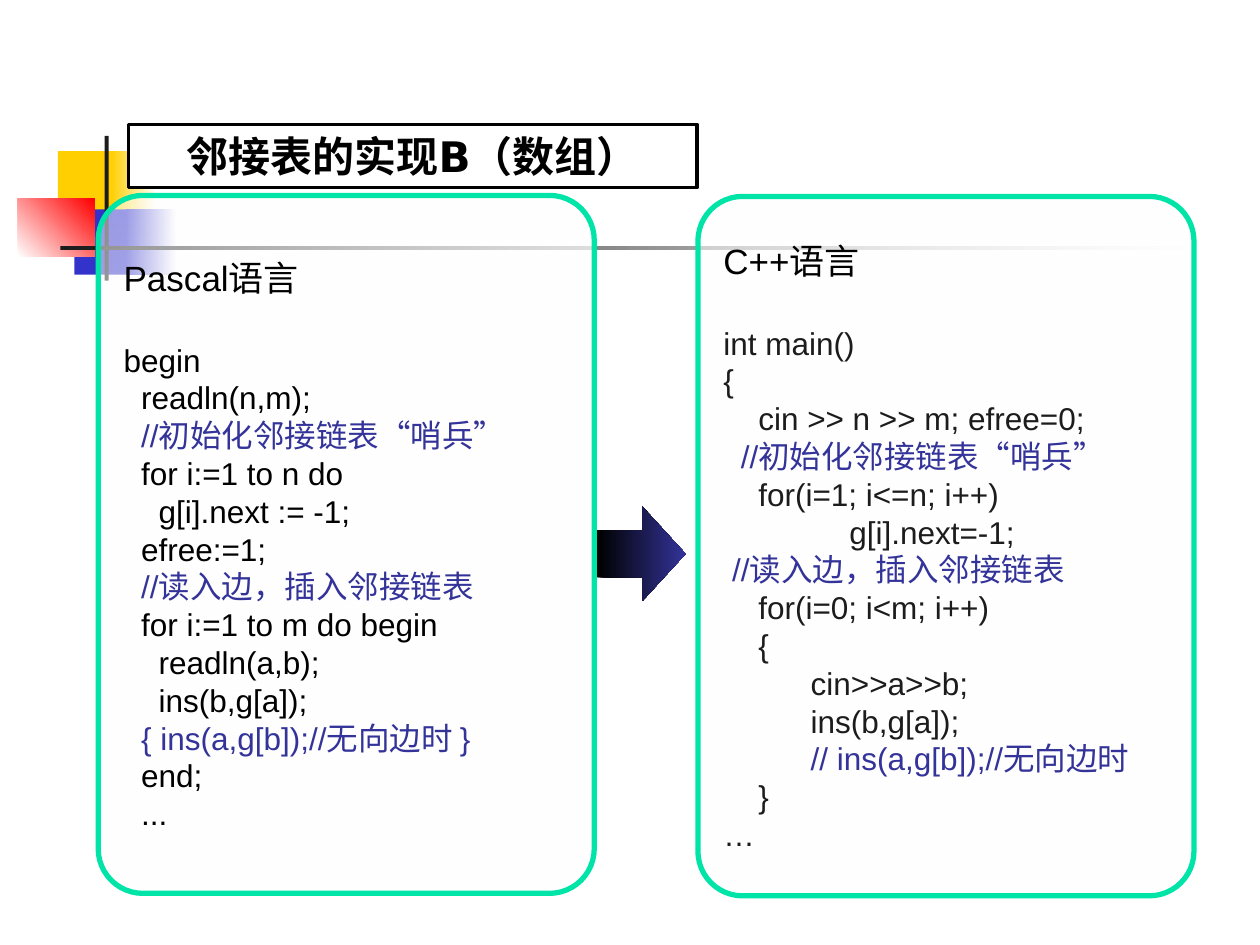
from lxml.etree import SubElement
from pptx import Presentation
from pptx.dml.color import RGBColor
from pptx.enum.shapes import MSO_SHAPE as Shape
from pptx.enum.text import MSO_ANCHOR, PP_ALIGN
from pptx.oxml.ns import qn
from pptx.util import Cm, Pt

BLACK = RGBColor(0x00, 0x00, 0x00)
WHITE = RGBColor(0xFF, 0xFF, 0xFF)
CHARCOAL = RGBColor(0x1C, 0x1C, 0x1C)
YELLOW = RGBColor(0xFF, 0xCF, 0x01)
BLUE = RGBColor(0x33, 0x33, 0xCC)
RED = RGBColor(0xFF, 0x00, 0x00)
MINT = RGBColor(0x00, 0xE4, 0xA8)
INDIGO = RGBColor(0x33, 0x33, 0x99)

TITLE = "邻接表的实现B（数组）"

PASCAL = """begin
  readln(n,m);
  //初始化邻接链表“哨兵”
  for i:=1 to n do
    g[i].next := -1;
  efree:=1;
  //读入边，插入邻接链表
  for i:=1 to m do begin
    readln(a,b);
    ins(b,g[a]);
  { ins(a,g[b]);//无向边时 }
  end;
  ..."""

CPP = """int main()
{
    cin >> n >> m; efree=0;
  //初始化邻接链表“哨兵”
    for(i=1; i<=n; i++)
\tg[i].next=-1;
 //读入边，插入邻接链表
    for(i=0; i<m; i++)
    {
          cin>>a>>b;
          ins(b,g[a]);
          // ins(a,g[b]);//无向边时
    }
…"""

# Boxes are left, top, width, height in cm
PANELS = [
    ("Pascal语言", PASCAL, BLACK, (1.98, 3.94, 10, 14.07)),
    ("C++语言", CPP, CHARCOAL, (14.07, 3.96, 10, 14.1)),
]

# Box, fill colours (two make a gradient), counter-clockwise angle
ORNAMENTS = [
    ((1.17, 3.05, 1.22, 1.32), [YELLOW], 0),
    ((2.24, 3.05, 0.91, 1.32), [YELLOW, WHITE], 0),
    ((1.5, 4.22, 1.17, 1.32), [BLUE], 0),
    ((2.54, 4.22, 1.02, 1.32), [BLUE, WHITE], 0),
    ((0.36, 4.01, 1.55, 1.17), [WHITE, RED], 45),
    ((2.11, 2.74, 0.08, 2.92), [CHARCOAL], 0),
    ((1.22, 4.95, 22.86, 0.09), [CHARCOAL, WHITE], 0),
]


def add_box(slide, kind, box, colours, angle=0, line=None, line_width=1):
    shape = slide.shapes.add_shape(kind, *map(Cm, box))
    shape.shadow.inherit = False
    if len(colours) == 1:
        shape.fill.solid()
        shape.fill.fore_color.rgb = colours[0]
    else:
        shape.fill.gradient()
        shape.fill.gradient_angle = angle
        for stop, colour in zip(shape.fill.gradient_stops, colours):
            stop.color.rgb = colour
    if line is None:
        shape.line.fill.background()
    else:
        shape.line.color.rgb = line
        shape.line.width = Pt(line_width)
    return shape


def write_text(paragraph, text, font="Arial", size=18, colour=BLACK, bold=False,
               align=PP_ALIGN.LEFT, spacing=None, after=0):
    paragraph.alignment = align
    paragraph.space_after = Pt(after)
    if spacing:
        paragraph.line_spacing = Pt(spacing)
    run = paragraph.add_run()
    run.text = text
    run.font.name = font
    run.font.size = Pt(size)
    run.font.bold = bold
    run.font.color.rgb = colour


def add_tab_stop(paragraph, position):
    tabs = SubElement(paragraph._p.get_or_add_pPr(), qn("a:tabLst"))
    SubElement(tabs, qn("a:tab"), pos=str(position), algn="l")


def add_code_panel(slide, heading, code, colour, box):
    panel = add_box(slide, Shape.ROUNDED_RECTANGLE, box, [WHITE, WHITE],
                    angle=315, line=MINT, line_width=3)
    panel.adjustments[0] = 0.09
    # The gradient starts half transparent
    first_colour = next(panel._element.spPr.iter(qn("a:srgbClr")))
    SubElement(first_colour, qn("a:alpha"), val="50000")

    frame = panel.text_frame
    frame.word_wrap = True
    frame.vertical_anchor = MSO_ANCHOR.MIDDLE
    write_text(frame.paragraphs[0], heading, size=20, spacing=24, after=24)
    for line in code.split("\n"):
        paragraph = frame.add_paragraph()
        if "\t" in line:
            add_tab_stop(paragraph, Cm(2.54))
        write_text(paragraph, line, spacing=21.6,
                   colour=INDIGO if "//" in line else colour)


def main():
    presentation = Presentation()
    presentation.slide_width, presentation.slide_height = Cm(25.4), Cm(19.05)
    slide = presentation.slides.add_slide(presentation.slide_layouts[6])

    # Corner ornament and rules
    for box, colours, angle in ORNAMENTS:
        add_box(slide, Shape.RECTANGLE, box, colours, angle)

    # Code panels
    for panel in PANELS:
        add_code_panel(slide, *panel)

    # Arrow between the panels
    arrow = add_box(slide, Shape.RIGHT_ARROW, (12.04, 10.21, 1.78, 1.91),
                    [BLACK, INDIGO])
    arrow.adjustments[0] = 0.5
    arrow.adjustments[1] = 0.49

    # Title
    title = add_box(slide, Shape.RECTANGLE, (2.59, 2.51, 11.46, 1.27), [WHITE],
                    line=BLACK, line_width=2)
    title.text_frame.word_wrap = True
    title.text_frame.vertical_anchor = MSO_ANCHOR.MIDDLE
    write_text(title.text_frame.paragraphs[0], TITLE, font="DejaVu Sans", size=24,
               bold=True, align=PP_ALIGN.CENTER)

    presentation.save("out.pptx")


if __name__ == "__main__":
    main()
